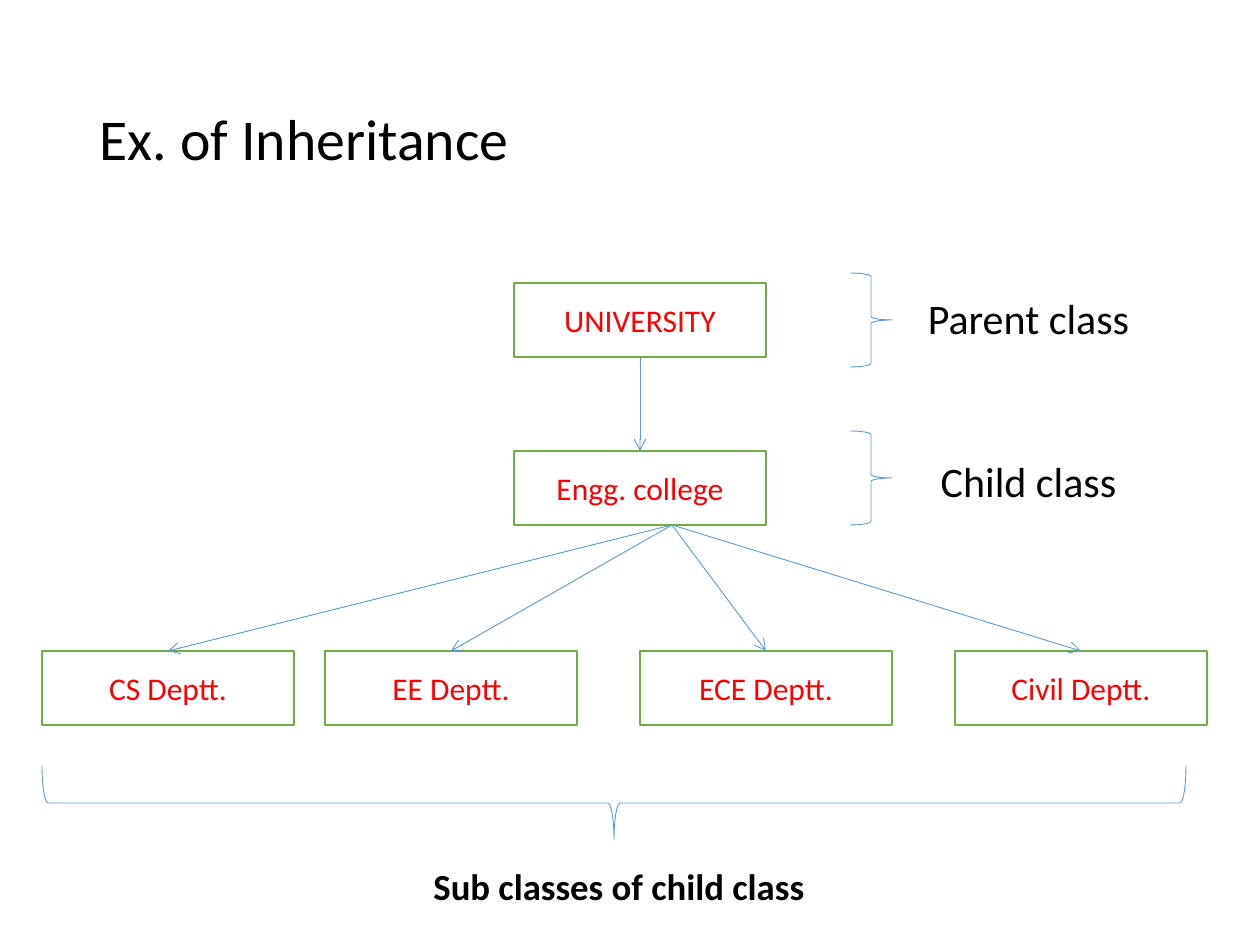
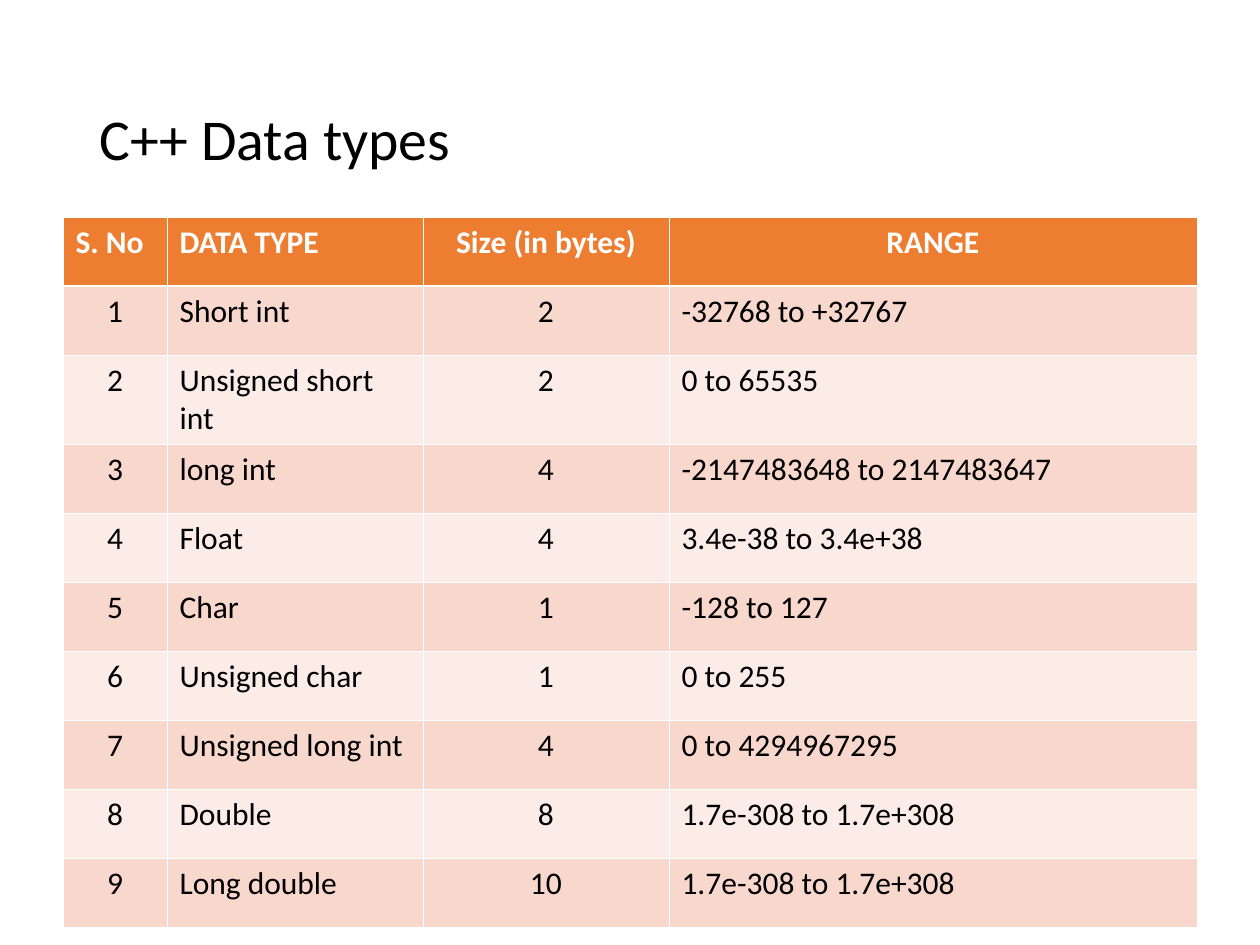
from lxml.etree import SubElement, Element
from pptx import Presentation
from pptx.dml.color import RGBColor
from pptx.enum.shapes import MSO_CONNECTOR as Connector, MSO_SHAPE as Shape
from pptx.enum.text import MSO_ANCHOR as Anchor, MSO_AUTO_SIZE as AutoSize, PP_ALIGN as Align
from pptx.oxml.ns import qn
from pptx.util import Emu, Pt

FONT = "Calibri"
BLACK, WHITE, RED = "000000", "FFFFFF", "FF0000"
GREEN, BLUE, ORANGE = "70AD47", "5B9BD5", "ED7D31"
BANDS = ["FCECE8", "F8D7CD"]
color = RGBColor.from_string


def px(*lengths):
    """Turn pixels, 126 to the inch, into EMU."""
    return [Emu(round(length * 914400 / 126)) for length in lengths]


def write(frame, text, size, ink=BLACK, bold=False, align=Align.CENTER, spacing=1.0):
    frame.text = text
    para = frame.paragraphs[0]
    para.alignment = align
    para.line_spacing = spacing
    font = para.runs[0].font
    font.name, font.size, font.bold = FONT, Pt(size), bold
    font.color.rgb = color(ink)


deck = Presentation()
deck.slide_width, deck.slide_height = px(1260, 945)

pages = []
for heading in ["Ex. of Inheritance", "C++ Data types"]:
    page = deck.slides.add_slide(deck.slide_layouts[5])
    title = page.shapes.title
    title.left, title.top, title.width, title.height = px(87, 50, 1087, 183)
    title.text_frame.auto_size = AutoSize.NONE
    title.text_frame.vertical_anchor = Anchor.MIDDLE
    write(title.text_frame, heading, 33, align=Align.LEFT, spacing=0.9)
    pages.append(page)
tree_page, types_page = pages

# Inheritance tree: boxes
BOX_WIDTH, BOX_HEIGHT = 252, 74
COLLEGE_LEFT, COLLEGE_TOP = 514, 451
DEPARTMENT_TOP = 651
boxes = []
for text, left, top in [
    ("UNIVERSITY", COLLEGE_LEFT, 283),
    ("Engg. college", COLLEGE_LEFT, COLLEGE_TOP),
    ("CS Deptt.", 42, DEPARTMENT_TOP),
    ("EE Deptt.", 325, DEPARTMENT_TOP),
    ("ECE Deptt.", 640, DEPARTMENT_TOP),
    ("Civil Deptt.", 955, DEPARTMENT_TOP),
]:
    box = tree_page.shapes.add_shape(Shape.RECTANGLE, *px(left, top, BOX_WIDTH, BOX_HEIGHT))
    box.shadow.inherit = False
    box.fill.solid()
    box.fill.fore_color.rgb = color(WHITE)
    box.line.color.rgb = color(GREEN)
    box.line.width = Pt(1)
    box.text_frame.vertical_anchor = Anchor.MIDDLE
    write(box.text_frame, text, 18, RED)
    boxes.append(box)
university, college, *departments = boxes

# Inheritance tree: arrows, those to the departments fan out from one point
fan_start = px(672, COLLEGE_TOP + BOX_HEIGHT)
for child in [college, *departments]:
    arrow = tree_page.shapes.add_connector(Connector.STRAIGHT, *fan_start, *fan_start)
    if child is college:
        arrow.begin_connect(university, 2)
    arrow.end_connect(child, 0)
    arrow.line.color.rgb = color(BLUE)
    arrow.line.width = Pt(0.5)
    SubElement(arrow.line._get_or_add_ln(), qn("a:tailEnd"), type="arrow")
    SubElement(arrow._element.spPr, qn("a:effectLst"))

# Inheritance tree: braces with their labels
for brace_place, turn, label_place, text, size, bold, spacing in [
    ((850, 273, 42, 94), 0, (913, 277, 231, 91), "Parent class", 24, False, 0.8),
    ((850, 431, 42, 94), 0, (913, 435, 231, 91), "Child class", 24, False, 1.0),
    ((577, 231, 74, 1144), 90, (409, 844, 420, 91), "Sub classes of child class", 21, True, 0.8),
]:
    brace = tree_page.shapes.add_shape(Shape.RIGHT_BRACE, *px(*brace_place))
    brace.rotation = turn
    brace.shadow.inherit = False
    brace.fill.background()
    brace.line.color.rgb = color(BLUE)
    brace.line.width = Pt(0.5)
    label = tree_page.shapes.add_textbox(*px(*label_place))
    label.text_frame.word_wrap = True
    label.text_frame.vertical_anchor = Anchor.MIDDLE
    write(label.text_frame, text, size, bold=bold, spacing=spacing)

# Data types table
DATA_TYPES = [
    ("S. No", "DATA TYPE", "Size (in bytes)", "RANGE"),
    ("1", "Short int", "2", "-32768 to +32767"),
    ("2", "Unsigned short int", "2", "0 to 65535"),
    ("3", "long int", "4", "-2147483648 to 2147483647"),
    ("4", "Float", "4", "3.4e-38 to 3.4e+38"),
    ("5", "Char", "1", "-128 to 127"),
    ("6", "Unsigned char", "1", "0 to 255"),
    ("7", "Unsigned long int", "4", "0 to 4294967295"),
    ("8", "Double", "8", "1.7e-308 to 1.7e+308"),
    ("9", "Long double", "10", "1.7e-308 to 1.7e+308"),
]
HEADER_ALIGNS = [Align.LEFT, Align.LEFT, Align.CENTER, Align.CENTER]
BODY_ALIGNS = [Align.CENTER, Align.LEFT, Align.CENTER, Align.LEFT]
ROW_HEIGHT, TALL_ROW_HEIGHT = px(69, 88)

table = types_page.shapes.add_table(len(DATA_TYPES), 4, *px(63, 217, 1134, 709)).table
table.horz_banding = False
for column, width in zip(table.columns, px(104, 256, 246, 528)):
    column.width = width

for row_index, values in enumerate(DATA_TYPES):
    header = row_index == 0
    table.rows[row_index].height = TALL_ROW_HEIGHT if row_index == 2 else ROW_HEIGHT
    aligns = HEADER_ALIGNS if header else BODY_ALIGNS
    for column_index, (value, align) in enumerate(zip(values, aligns)):
        cell = table.cell(row_index, column_index)
        write(cell.text_frame, value, 18, WHITE if header else BLACK, header, align)
        cell.fill.solid()
        cell.fill.fore_color.rgb = color(ORANGE if header else BANDS[row_index % 2])
        for position, side in enumerate("LRTB"):
            under_header = (row_index, side) in [(0, "B"), (1, "T")]
            border = Element(qn(f"a:ln{side}"), w=str(Pt(1.5 if under_header else 0.45)))
            SubElement(SubElement(border, qn("a:solidFill")), qn("a:srgbClr"), val=WHITE)
            cell._tc.get_or_add_tcPr().insert(position, border)

deck.save("out.pptx")
